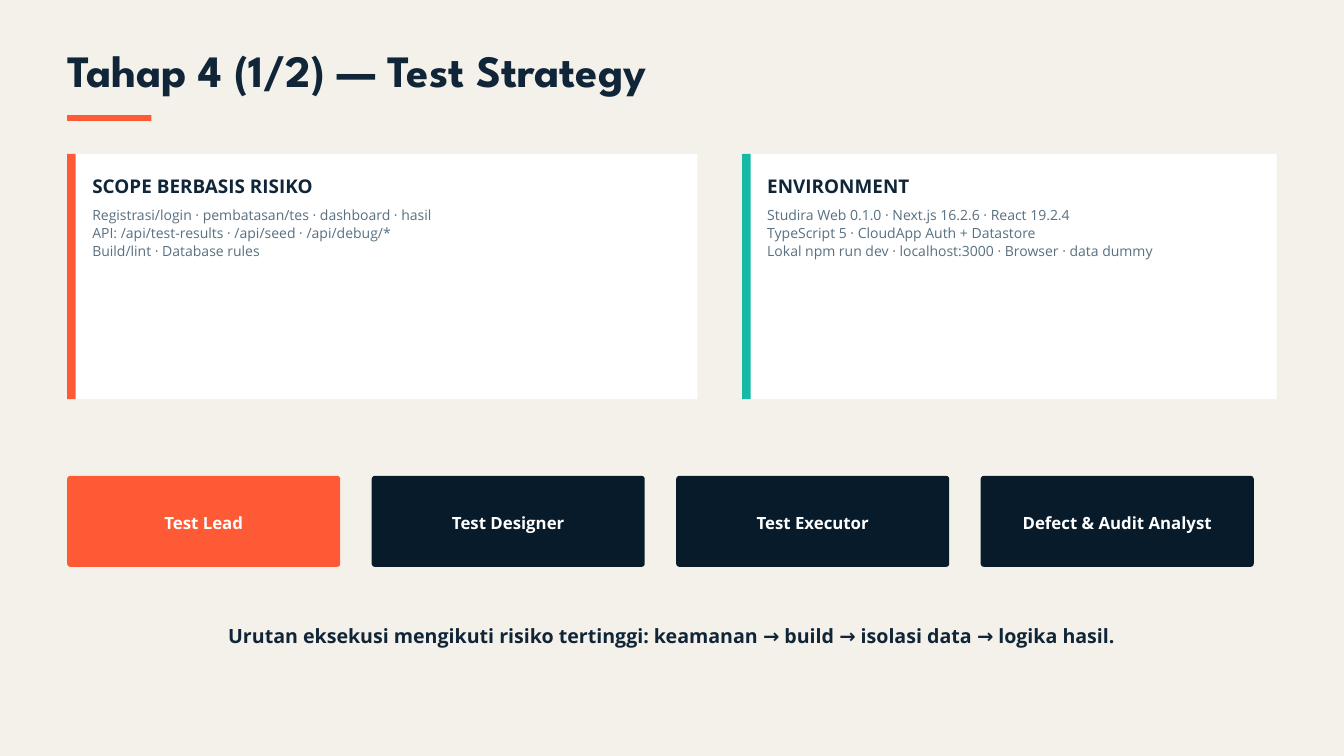
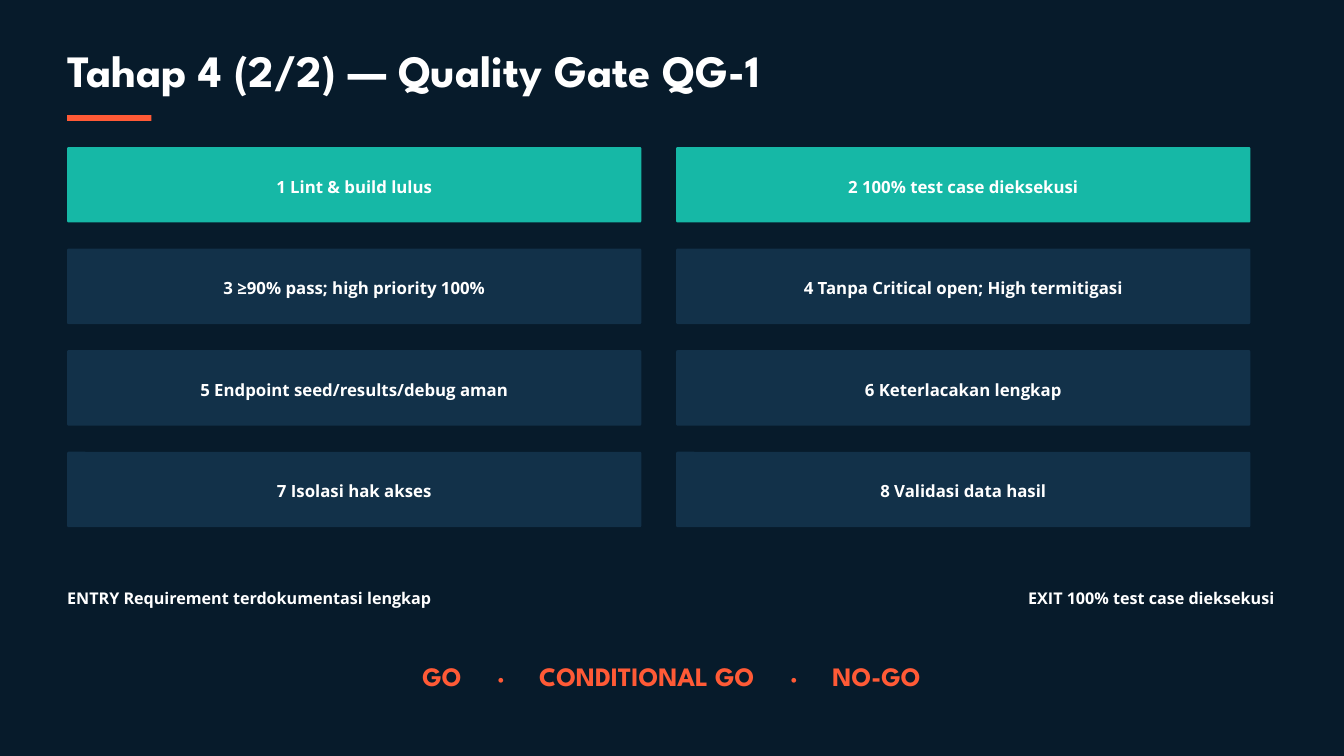
from dataclasses import dataclass
from typing import Any, NamedTuple

from lxml import etree
from pptx import Presentation
from pptx import util as u
from pptx.dml.color import RGBColor
from pptx.enum import shapes, text
from pptx.oxml import ns

EN_SPACE = " "
TITLE_ONLY = 5
ALIGN, ANCHOR, SHAPE = text.PP_ALIGN, text.MSO_ANCHOR, shapes.MSO_SHAPE


class TypeStyle(NamedTuple):
    font: str
    size: float
    leading: float
    bold: bool = True


@dataclass(frozen=True)
class Theme:
    paper: str = "F4F1EA"
    night: str = "071B2B"
    ink: str = "102638"
    muted: str = "587080"
    white: str = "FFFFFF"
    coral: str = "FF5A36"
    teal: str = "16B8A6"
    navy: str = "123149"
    title: TypeStyle = TypeStyle("League Spartan", 48, 49)
    verdict: TypeStyle = TypeStyle("League Spartan", 28.5, 29.1)
    heading: TypeStyle = TypeStyle("Open Sans", 20.25, 27.3)
    body: TypeStyle = TypeStyle("Open Sans", 15, 19.5, False)
    tile: TypeStyle = TypeStyle("Open Sans", 18, 25.2)
    note: TypeStyle = TypeStyle("Open Sans", 21, 28.4)
    criterion: TypeStyle = TypeStyle("Open Sans", 17.25, 23.3)


THEME = Theme()


class Box(NamedTuple):
    """A rectangle measured in centimetres."""
    left: float
    top: float
    width: float
    height: float

    def emu(self) -> list[u.Length]:
        return [u.Cm(length) for length in self]


@dataclass(frozen=True)
class Card:
    box: Box
    accent: str
    heading: str
    lines: list[str]


@dataclass(frozen=True)
class Tile:
    box: Box
    fill: str
    label: str
    radius: float


MARGIN = 2.54
RIGHT_COLUMN = 28.05
TITLE_BOX = Box(MARGIN, 1.93, 39.67, 1.78)
RULE_BOX = Box(MARGIN, 4.35, 3.18, 0.22)

CARDS = [
    Card(Box(MARGIN, 5.82, 23.82, 9.27), THEME.coral, "SCOPE BERBASIS RISIKO", [
        "Registrasi/login · pembatasan/tes · dashboard · hasil",
        "API: /api/test-results · /api/seed · /api/debug/*",
        "Build/lint · Database rules",
    ]),
    Card(Box(RIGHT_COLUMN, 5.82, 20.21, 9.27), THEME.teal, "ENVIRONMENT", [
        "Studira Web 0.1.0 · Next.js 16.2.6 · React 19.2.4",
        "TypeScript 5 · CloudApp Auth + Datastore",
        "Lokal npm run dev · localhost:3000 · Browser · data dummy",
    ]),
]
ROLES = ["Test Lead", "Test Designer", "Test Executor", "Defect & Audit Analyst"]
GATES = [
    "Lint & build lulus",
    "100% test case dieksekusi",
    "≥90% pass; high priority 100%",
    "Tanpa Critical open; High termitigasi",
    "Endpoint seed/results/debug aman",
    "Keterlacakan lengkap",
    "Isolasi hak akses",
    "Validasi data hasil",
]
VERDICTS = ["GO", "·", "CONDITIONAL GO", "·", "NO-GO"]
VERDICT_CENTRES = [8.51, 10.73, 16.25, 21.81, 24.93]


def assign(target: Any, values: dict[str, Any]) -> None:
    for name, value in values.items():
        setattr(target, name, value)


def write(holder: Any, lines: list[str], style: TypeStyle, colour: str,
          align: Any = ALIGN.LEFT, anchor: Any = ANCHOR.TOP, inset: float = 0,
          grow: bool = True) -> None:
    """Fill a shape's text frame, one paragraph per line."""
    frame = holder.text_frame
    sides = ("left", "top", "right", "bottom")
    assign(frame, {
        "word_wrap": True,
        "vertical_anchor": anchor,
        "auto_size": (text.MSO_AUTO_SIZE.SHAPE_TO_FIT_TEXT if grow
                      else text.MSO_AUTO_SIZE.NONE),
        **{f"margin_{side}": u.Cm(inset) for side in sides},
    })
    for index, line in enumerate(lines):
        paragraph = frame.add_paragraph() if index else frame.paragraphs[0]
        assign(paragraph, {"alignment": align, "line_spacing": u.Pt(style.leading),
                           "space_before": u.Pt(0), "space_after": u.Pt(0)})
        run = paragraph.add_run()
        run.text = line
        assign(run.font, {"name": style.font, "size": u.Pt(style.size),
                          "bold": style.bold})
        run.font.color.rgb = RGBColor.from_string(colour)


def add_text(slide: Any, box: Box, lines: list[str], style: TypeStyle,
             colour: str, align: Any = ALIGN.LEFT) -> Any:
    label = slide.shapes.add_textbox(*box.emu())
    write(label, lines, style, colour, align)
    return label


def add_block(slide: Any, box: Box, fill: str, preset: Any = SHAPE.RECTANGLE) -> Any:
    block = slide.shapes.add_shape(preset, *box.emu())
    block.shadow.inherit = False
    block.fill.solid()
    block.fill.fore_color.rgb = RGBColor.from_string(fill)
    block.line.fill.background()
    return block


def add_tile(slide: Any, tile: Tile) -> None:
    block = add_block(slide, tile.box, tile.fill, SHAPE.ROUNDED_RECTANGLE)
    block.adjustments[0] = tile.radius / tile.box.height
    write(block, [tile.label], THEME.tile, THEME.white, ALIGN.CENTER,
          ANCHOR.MIDDLE, inset=0.15, grow=False)


def add_card(slide: Any, card: Card) -> None:
    left, top, width, height = card.box
    add_block(slide, card.box, THEME.white)
    add_block(slide, Box(left, top, 0.32, height), card.accent)
    inner_left, inner_width = left + 0.95, width - 1.8
    add_text(slide, Box(inner_left, top + 0.66, inner_width, 0.91),
             [card.heading], THEME.heading, THEME.ink)
    add_text(slide, Box(inner_left, top + 1.93, inner_width, 2.03),
             card.lines, THEME.body, THEME.muted)


def add_titled_slide(deck: Any, title: str, background: str, colour: str) -> Any:
    slide = deck.slides.add_slide(deck.slide_layouts[TITLE_ONLY])
    slide.background.fill.solid()
    slide.background.fill.fore_color.rgb = RGBColor.from_string(background)
    heading = slide.shapes.title
    assign(heading, dict(zip(("left", "top", "width", "height"), TITLE_BOX.emu())))
    write(heading, [title], THEME.title, colour)
    add_block(slide, RULE_BOX, THEME.coral)
    return slide


def add_centre_tabs(paragraph: Any, centres: list[float]) -> None:
    properties = paragraph._p.get_or_add_pPr()
    stops = etree.SubElement(properties, ns.qn("a:tabLst"))
    for centre in centres:
        etree.SubElement(stops, ns.qn("a:tab"), pos=str(u.Cm(centre)), algn="ctr")


def build_strategy(deck: Any) -> None:
    slide = add_titled_slide(deck, "Tahap 4 (1/2) — Test Strategy",
                             THEME.paper, THEME.ink)
    for card in CARDS:
        add_card(slide, card)
    for index, role in enumerate(ROLES):
        box = Box(MARGIN + index * 11.51, 17.99, 10.32, 3.44)
        fill = THEME.night if index else THEME.coral
        add_tile(slide, Tile(box, fill, role, radius=0.12))
    add_text(slide, Box(6.6, 23.47, 37.57, 0.94),
             ["Urutan eksekusi mengikuti risiko tertinggi: "
              "keamanan → build → isolasi data → logika hasil."],
             THEME.note, THEME.ink, ALIGN.CENTER)


def build_quality_gate(deck: Any) -> None:
    slide = add_titled_slide(deck, "Tahap 4 (2/2) — Quality Gate QG-1",
                             THEME.night, THEME.white)
    for index, gate in enumerate(GATES):
        row, column = divmod(index, 2)
        box = Box(MARGIN + column * 23.02, 5.56 + row * 3.84, 21.7, 2.85)
        fill = THEME.navy if row else THEME.teal
        add_tile(slide, Tile(box, fill, f"{index + 1}{EN_SPACE}{gate}", radius=0.05))
    criteria = [
        (MARGIN, "ENTRY", "Requirement terdokumentasi lengkap", ALIGN.LEFT),
        (RIGHT_COLUMN, "EXIT", "100% test case dieksekusi", ALIGN.RIGHT),
    ]
    for left, stage, condition, align in criteria:
        add_text(slide, Box(left, 22.17, 20.12, 0.79),
                 [f"{stage}{EN_SPACE}{condition}"],
                 THEME.criterion, THEME.white, align)
    verdict = add_text(slide, Box(8.2, 25.12, 34.39, 1.09),
                       ["".join(f"\t{word}" for word in VERDICTS)],
                       THEME.verdict, THEME.coral)
    add_centre_tabs(verdict.text_frame.paragraphs[0], VERDICT_CENTRES)


def main() -> None:
    deck = Presentation()
    assign(deck, {"slide_width": u.Cm(50.8), "slide_height": u.Cm(28.58)})
    build_strategy(deck)
    build_quality_gate(deck)
    deck.save("out.pptx")


if __name__ == "__main__":
    main()
